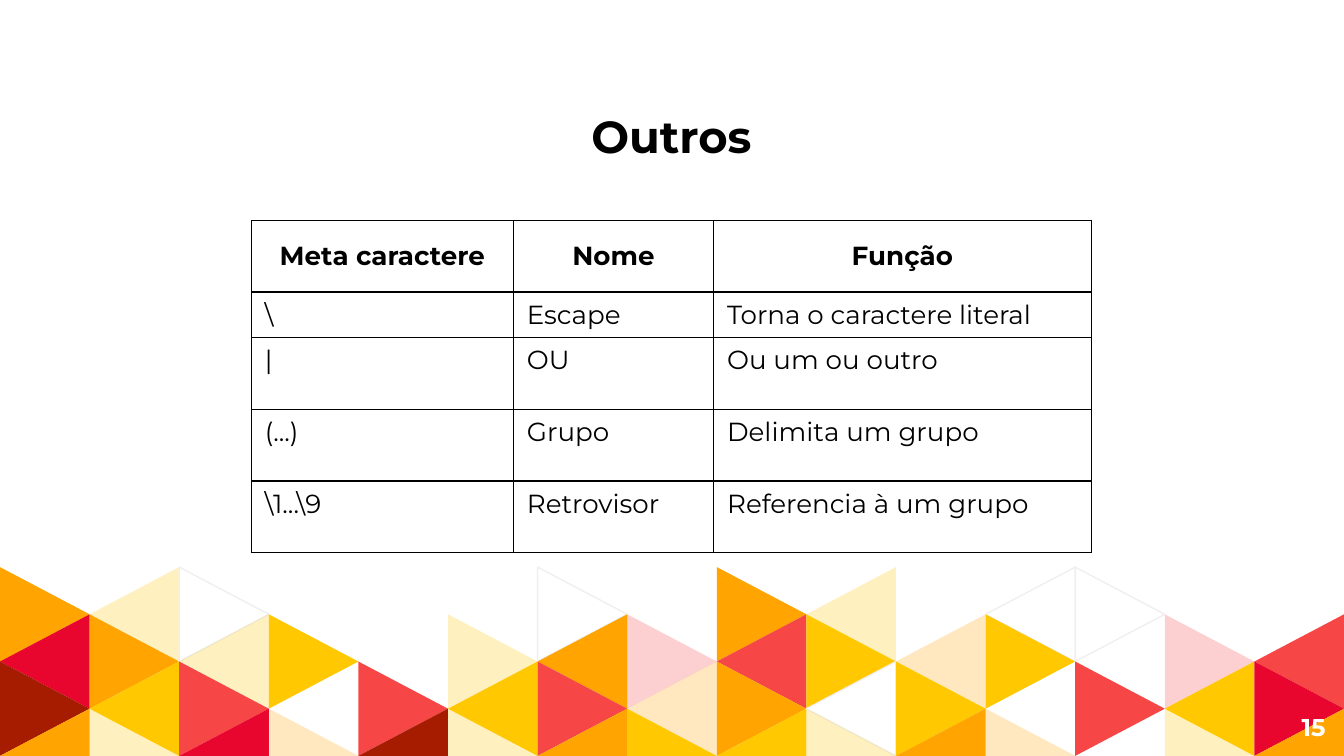
from lxml import etree
from pptx import Presentation
from pptx.dml.color import RGBColor
from pptx.enum import text
from pptx.oxml import ns
from pptx.util import Inches, Pt

SLIDE_WIDTH = 10
SLIDE_HEIGHT = SLIDE_WIDTH * 9 / 16
FONT = "Montserrat"
COLORS = {
    "black": "000000", "white": "FFFFFF", "outline": "EFEFEF",
    "orange": "FFA400", "yellow": "FFC800", "crimson": "E8062F",
    "red": "F64646", "brown": "A61C00",
}
# One letter per triangle: (colour, opacity in percent); a dot leaves a gap.
TILES = {
    "O": ("orange", 100), "Y": ("yellow", 100), "C": ("crimson", 100),
    "R": ("red", 100), "B": ("brown", 100), "W": ("white", 100),
    "o": ("orange", 25), "y": ("yellow", 25), "r": ("red", 25),
}
# Each string is one column of the mosaic, from top to bottom.
MOSAIC = [
    "OCBO", "yOYy", "WyRC", ".Y.o", "..RB", ".yYy", "WORO", ".roY",
    "OROY", "yYWy", ".oYO", "WY.o", "W.R.", ".rYy", ".RCO",
]
ROWS = [
    ["Meta caractere", "Nome", "Função"],
    ["\\", "Escape", "Torna o caractere literal"],
    ["|", "OU", "Ou um ou outro"],
    ["(...)", "Grupo", "Delimita um grupo"],
    ["\\1...\\9", "Retrovisor", "Referencia à um grupo"],
]
COLUMN_WIDTHS = [1.95, 1.49, 2.81]
TALL_ROW = 1.6 / 3
ROW_HEIGHTS = [TALL_ROW, 0.34, TALL_ROW, TALL_ROW, TALL_ROW]


def rgb(name):
    return RGBColor.from_string(COLORS[name])


def write(text_frame, content, size, color="black", bold=False, align=None):
    text_frame.text = content
    paragraph = text_frame.paragraphs[0]
    paragraph.alignment = align
    font = paragraph.runs[0].font
    font.name, font.size, font.bold = FONT, Pt(size), bold
    font.color.rgb = rgb(color)


def add_triangle(shapes, points, tile):
    color, opacity = TILES[tile]
    points = [(Inches(x), Inches(y)) for x, y in points]
    builder = shapes.build_freeform(*points[0], scale=1.0)
    builder.add_line_segments(points[1:], close=True)
    shape = builder.convert_to_shape()
    shape.shadow.inherit = False
    shape.fill.solid()
    shape.fill.fore_color.rgb = rgb(color)
    if opacity < 100:
        fill_color = shape.fill._xPr.find(".//" + ns.qn("a:srgbClr"))
        etree.SubElement(fill_color, ns.qn("a:alpha"), val=str(opacity * 1000))
    if color == "white":
        shape.line.color.rgb = rgb("outline")
        shape.line.width = Pt(0.75)
    else:
        shape.line.fill.background()


def add_mosaic(slide, left, top, width, height):
    """Fill the box with triangles that point right and left by turns."""
    shapes = slide.shapes.add_group_shape().shapes
    step_x = width / len(MOSAIC)
    step_y = height / len(MOSAIC[0])
    bottom = top + height
    for column, tiles in enumerate(MOSAIC):
        for row, tile in enumerate(tiles):
            if tile == ".":
                continue
            x, y = left + column * step_x, top + row * step_y
            points_right = (column + row) % 2 == 0
            base, tip = (x, x + step_x) if points_right else (x + step_x, x)
            # The last row is cut in half by the bottom edge.
            end = (base, min(y + 2 * step_y, bottom))
            add_triangle(shapes, [(base, y), (tip, y + step_y), end], tile)


def add_page_number(slide, left, top, width, height):
    box = slide.shapes.add_textbox(Inches(left), Inches(top), Inches(width), Inches(height))
    frame = box.text_frame
    frame.word_wrap = True
    frame.vertical_anchor = text.MSO_ANCHOR.MIDDLE
    frame.margin_top = frame.margin_bottom = Inches(0.1)
    write(frame, "15", 13, "white", True, text.PP_ALIGN.RIGHT)


def add_borders(cell):
    properties = cell._tc.get_or_add_tcPr()
    for side in ("lnL", "lnR", "lnT", "lnB"):
        line = etree.SubElement(properties, ns.qn("a:" + side), w=str(Pt(0.75)))
        fill = etree.SubElement(line, ns.qn("a:solidFill"))
        etree.SubElement(fill, ns.qn("a:srgbClr"), val=COLORS["black"])


def add_character_table(slide, left, top):
    frame = slide.shapes.add_table(
        len(ROWS), len(COLUMN_WIDTHS), Inches(left), Inches(top),
        Inches(sum(COLUMN_WIDTHS)), Inches(sum(ROW_HEIGHTS)))
    table = frame.table
    table.first_row = table.horz_banding = False
    for column, width in zip(table.columns, COLUMN_WIDTHS):
        column.width = Inches(width)
    for row, height, contents in zip(table.rows, ROW_HEIGHTS, ROWS):
        row.height = Inches(height)
        header = contents is ROWS[0]
        for cell, content in zip(row.cells, contents):
            add_borders(cell)
            cell.fill.background()
            if header:
                cell.vertical_anchor = text.MSO_ANCHOR.MIDDLE
            write(cell.text_frame, content, 14, bold=header,
                  align=text.PP_ALIGN.CENTER if header else text.PP_ALIGN.LEFT)


def place_title(slide, left, top, width, height):
    title = slide.shapes.title
    title.left, title.top = Inches(left), Inches(top)
    title.width, title.height = Inches(width), Inches(height)
    frame = title.text_frame
    frame.word_wrap = False
    frame.auto_size = text.MSO_AUTO_SIZE.SHAPE_TO_FIT_TEXT
    frame.vertical_anchor = text.MSO_ANCHOR.TOP
    write(frame, "Outros", 24, bold=True, align=text.PP_ALIGN.LEFT)


def main():
    presentation = Presentation()
    presentation.slide_width = Inches(SLIDE_WIDTH)
    presentation.slide_height = Inches(SLIDE_HEIGHT)
    slide = presentation.slides.add_slide(presentation.slide_layouts[5])
    mosaic_top = 4.22
    add_mosaic(slide, 0, mosaic_top, SLIDE_WIDTH, SLIDE_HEIGHT - mosaic_top)
    add_page_number(slide, 9.35, 5.19, 0.61, 0.43)
    add_character_table(slide, 1.87, 1.64)
    place_title(slide, 4.3, 0.76, 1.41, 0.5)
    presentation.save("out.pptx")


if __name__ == "__main__":
    main()
